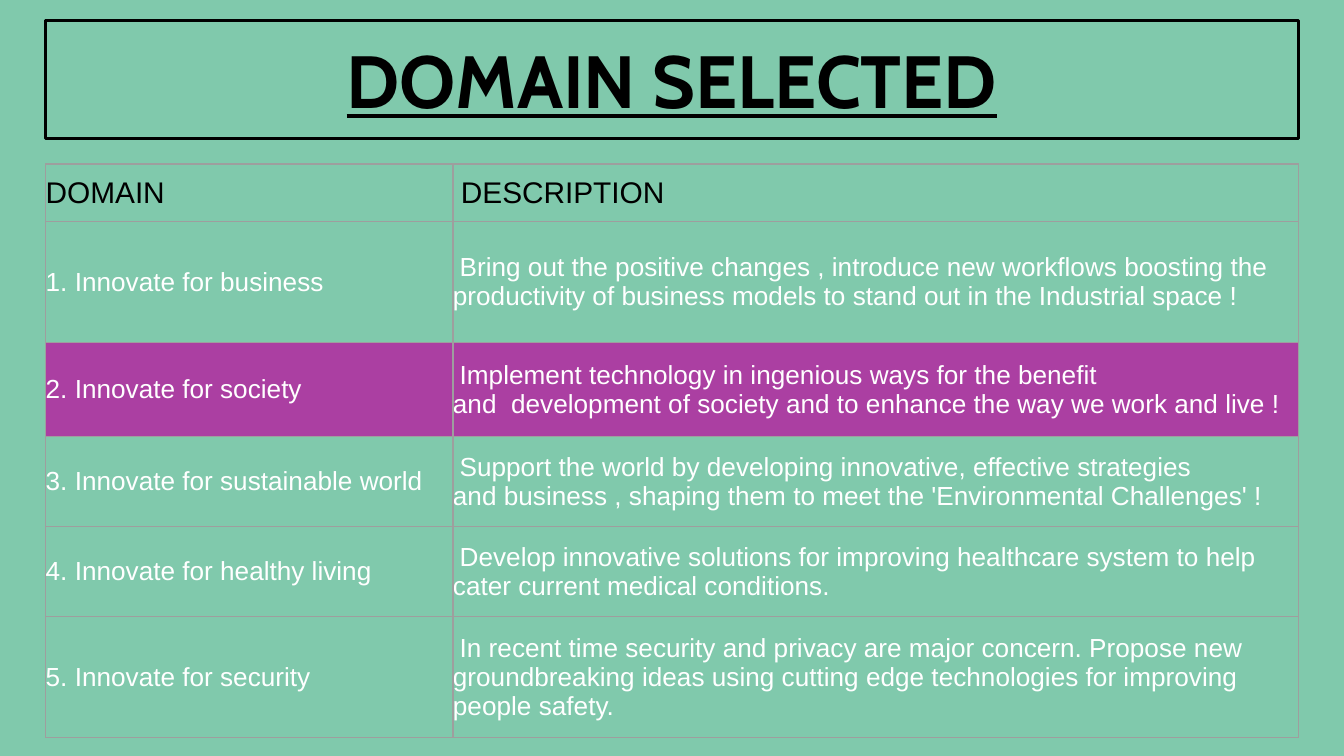
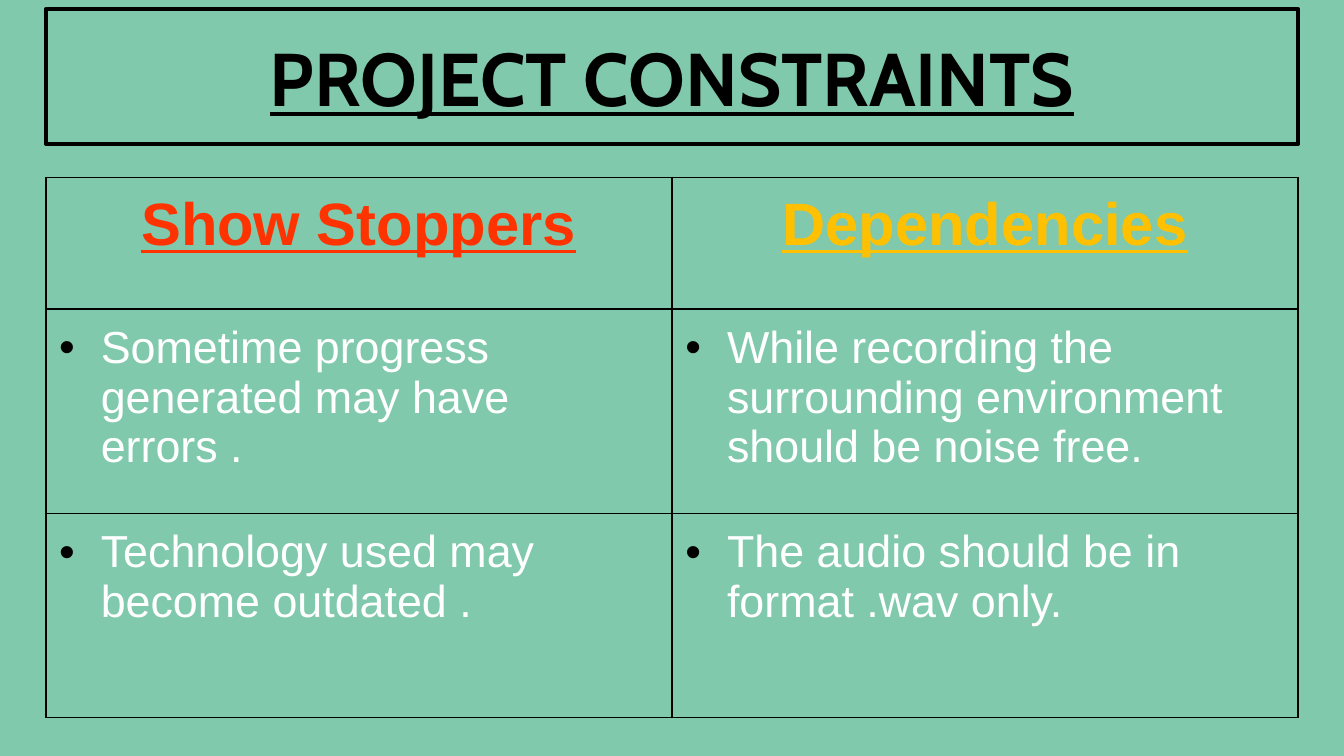
from lxml.etree import SubElement as Sub
from pptx import Presentation
from pptx.dml.color import RGBColor as RGB
from pptx.enum.shapes import MSO_SHAPE as SHAPE
from pptx.enum.text import MSO_ANCHOR as ANCHOR, PP_ALIGN as ALIGN
from pptx.oxml.ns import qn
from pptx.util import Inches, Pt

COLORS = {
    "page": "80C9AC",
    "ink": "000000",
    "text": "FFFFFF",
    "grid": "9E9E9E",
    "pick": "AB3FA2",
    "stop": "FF3300",
    "need": "FFC000",
}
LEFT, WIDTH = 0.34, 9.32
PICKED = 2
HARD = chr(160)
DOMAINS = [
    ("DOMAIN", "DESCRIPTION"),
    ("1. Innovate for business",
     "Bring out the positive changes , introduce new workflows boosting the "
     "productivity of business models to stand out in the Industrial space !"),
    ("2. Innovate for society",
     "Implement technology in ingenious ways for the benefit "
     f"and{HARD}{HARD}development of society and to enhance the way we work "
     "and live !"),
    ("3. Innovate for sustainable world",
     "Support the world by developing innovative, effective strategies "
     f"and{HARD}business , shaping them to meet the "
     "'Environmental Challenges' !"),
    ("4. Innovate for healthy living",
     "Develop innovative solutions for improving healthcare system to help "
     "cater current medical conditions."),
    ("5. Innovate for security",
     "In recent time security and privacy are major concern. Propose new "
     "groundbreaking ideas using cutting edge technologies for improving "
     "people safety."),
]
LIMITS = [
    ("Show Stoppers", "Dependencies"),
    ("Sometime progress generated may have errors .",
     "While recording the surrounding environment should be noise free."),
    ("Technology used may become outdated .",
     "The audio should be in format .wav only."),
]


def rgb(name):
    return RGB.from_string(COLORS[name])


def paint(node, name):
    fill = Sub(node, qn("a:solidFill"))
    Sub(fill, qn("a:srgbClr"), val=COLORS[name])


def style(para, size, color, face="Arial", strong=False):
    for run in para.runs:
        font = run.font
        font.name, font.size = face, Pt(size)
        font.bold = font.underline = strong
        font.color.rgb = rgb(color)


def inset(box, gap):
    box.margin_left = box.margin_right = Inches(gap)
    box.margin_top = box.margin_bottom = Inches(gap)


def indent(para, left, first):
    props = para._p.get_or_add_pPr()
    props.set("marL", str(Inches(left)))
    props.set("indent", str(Inches(first)))
    return props


def bullet(para):
    props = indent(para, 0.31, -0.31)
    tint = Sub(props, qn("a:buClr"))
    Sub(tint, qn("a:srgbClr"), val=COLORS["ink"])
    Sub(props, qn("a:buFont"), typeface="Arial")
    Sub(props, qn("a:buChar"), char="•")


def border(cell, color, width):
    props = cell._tc.get_or_add_tcPr()
    for side in "LRTB":
        line = Sub(props, qn("a:ln" + side), w=str(Pt(width)))
        paint(line, color)


def add_page(deck):
    page = deck.slides.add_slide(deck.slide_layouts[6])
    fill = page.background.fill
    fill.solid()
    fill.fore_color.rgb = rgb("page")
    return page


def add_title(page, text, top, height, size, width):
    box = page.shapes.add_shape(
        SHAPE.RECTANGLE, Inches(LEFT), Inches(top), Inches(WIDTH), Inches(height))
    box.shadow.inherit = False
    box.fill.background()
    box.line.color.rgb = rgb("ink")
    box.line.width = Pt(width)
    frame = box.text_frame
    frame.word_wrap = True
    frame.vertical_anchor = ANCHOR.MIDDLE
    inset(frame, 0.1)
    frame.text = text
    para = frame.paragraphs[0]
    para.alignment = ALIGN.CENTER
    style(para, size, "ink", "Cabin", True)
    props = para.runs[0].font._element
    edge = props.makeelement(qn("a:ln"), {"w": str(Pt(0.75))})
    paint(edge, "text")
    props.insert(0, edge)


def add_grid(page, data, top, cols, rows, gap, color, width):
    frame = page.shapes.add_table(
        len(rows), len(cols), Inches(LEFT), Inches(top),
        Inches(WIDTH), Inches(sum(rows)))
    grid = frame.table
    grid.first_row = grid.horz_banding = False
    for col, size in zip(grid.columns, cols):
        col.width = Inches(size)
    for row, size, texts in zip(grid.rows, rows, data):
        row.height = Inches(size)
        for cell, text in zip(row.cells, texts):
            cell.text = text
            inset(cell, gap)
            border(cell, color, width)
            cell.fill.background()
    return grid


def add_domains(page):
    grid = add_grid(page, DOMAINS, 1.22, [3.03, 6.29],
                    [0.43, 0.9, 0.7, 0.67, 0.67, 0.9], 0, "grid", 0.75)
    for num, row in enumerate(grid.rows):
        size, color = (14, "text") if num else (16, "ink")
        for col, cell in enumerate(row.cells):
            cell.vertical_anchor = ANCHOR.MIDDLE
            para = cell.text_frame.paragraphs[0]
            if col:
                indent(para, 0, 0.05 if num else 0.06)
            style(para, size, color)
            if num == PICKED:
                cell.fill.solid()
                cell.fill.fore_color.rgb = rgb("pick")


def add_limits(page):
    grid = add_grid(page, LIMITS, 1.32, [WIDTH / 2] * 2,
                    [0.98, 1.52, 1.52], 0.1, "ink", 1)
    for num, row in enumerate(grid.rows):
        for cell, color in zip(row.cells, ("stop", "need")):
            para = cell.text_frame.paragraphs[0]
            if num:
                bullet(para)
                style(para, 24, "text")
            else:
                para.alignment = ALIGN.CENTER
                style(para, 32, color, strong=True)


def main():
    deck = Presentation()
    deck.slide_width, deck.slide_height = Inches(10), Inches(10 * 9 / 16)
    page = add_page(deck)
    add_title(page, "DOMAIN SELECTED", 0.15, 0.88, 39.6, 1.5)
    add_domains(page)
    page = add_page(deck)
    add_title(page, "PROJECT CONSTRAINTS", 0.07, 1, 40, 2.25)
    add_limits(page)
    deck.save("out.pptx")


if __name__ == "__main__":
    main()
